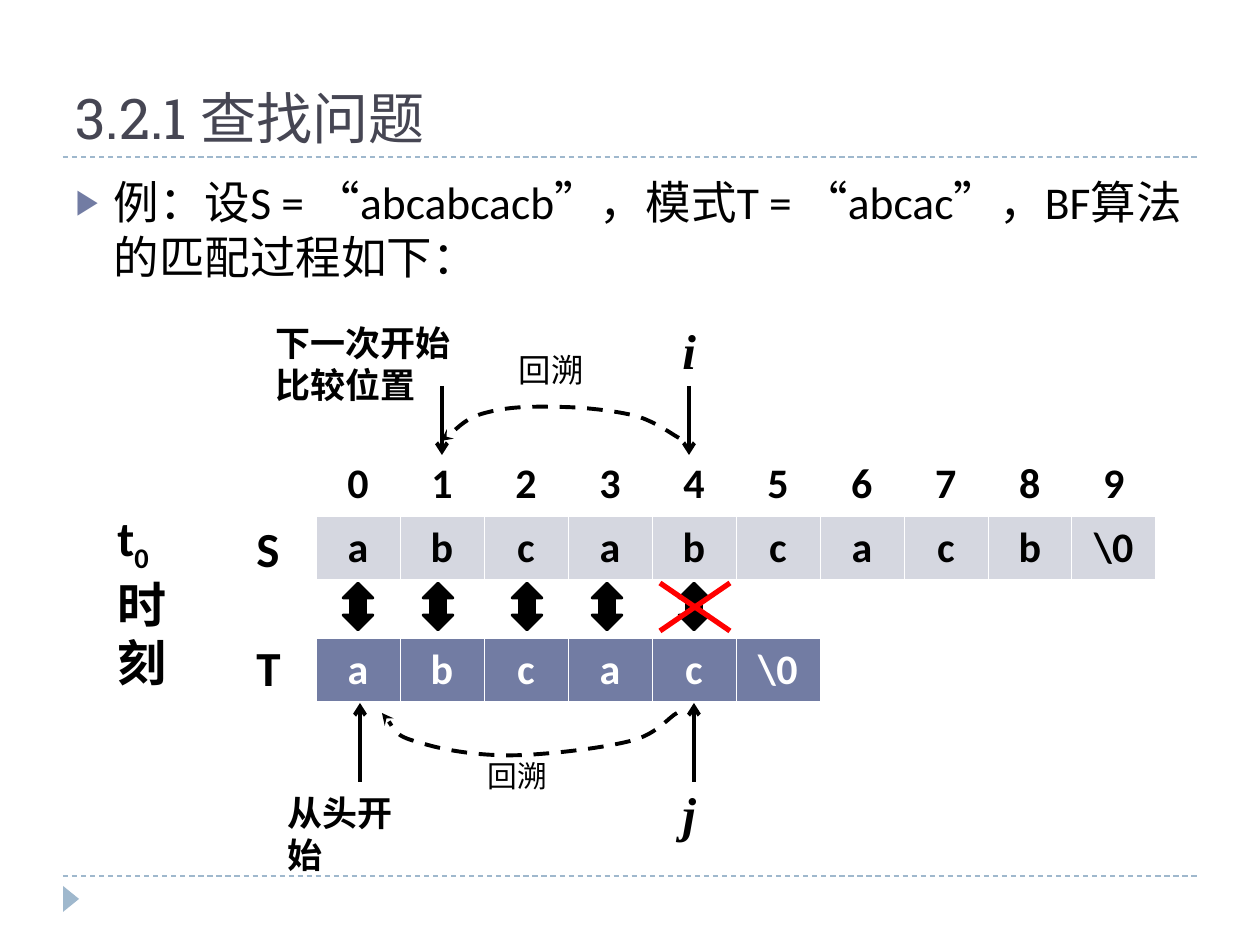
from lxml import etree
from pptx import Presentation
from pptx import util as u
from pptx.dml.color import RGBColor
from pptx.enum import dml, lang, shapes, text
from pptx.oxml import parse_xml
from pptx.oxml.ns import nsdecls, qn

PX = 7257
COLORS = {
    "title": "464653", "black": "000000", "white": "FFFFFF", "rule": "9FB8CD",
    "red": "FF0000", "accent": "727CA3", "pale": "D5D7E0",
}


def write(paragraph, wording, color="black", **values):
    run = paragraph.add_run()
    run.text = wording
    run.font.color.rgb = RGBColor.from_string(COLORS[color])
    values = {"name": "Calibri", "language_id": lang.MSO_LANGUAGE_ID.SIMPLIFIED_CHINESE, **values}
    for name, value in values.items():
        setattr(run.font, name, value)
    return run


def stroke(shape, color, width, dashed=False, arrow=None):
    shape.line.color.rgb = RGBColor.from_string(COLORS[color])
    shape.line.width = u.Pt(width)
    if dashed:
        shape.line.dash_style = dml.MSO_LINE.DASH
    properties = shape._element.spPr
    if arrow:
        etree.SubElement(properties.find(qn("a:ln")), qn("a:tailEnd"), type=arrow)
    etree.SubElement(properties, qn("a:effectLst"))


presentation = Presentation()
presentation.slide_width, presentation.slide_height = 1260 * PX, 945 * PX
slide = presentation.slides.add_slide(presentation.slide_layouts[1])

title, body = slide.placeholders
for placeholder, box, anchor in [
    (title, (63, 21, 1134, 136), text.MSO_ANCHOR.BOTTOM),
    (body, (63, 168, 1134, 680), text.MSO_ANCHOR.TOP),
]:
    placeholder.left, placeholder.top, placeholder.width, placeholder.height = [v * PX for v in box]
    placeholder.text_frame.auto_size = text.MSO_AUTO_SIZE.NONE
    placeholder.text_frame.vertical_anchor = anchor
    placeholder.text_frame.paragraphs[0].alignment = text.PP_ALIGN.LEFT

write(title.text_frame.paragraphs[0], "3.2.1 查找问题", "title", name="Roboto Slab", size=u.Pt(32))

paragraph = body.text_frame.paragraphs[0]
properties = paragraph._p.get_or_add_pPr()
properties.set("marL", str(38 * PX))
properties.set("indent", str(-38 * PX))
bullet_color = etree.SubElement(properties, qn("a:buClr"))
etree.SubElement(bullet_color, qn("a:srgbClr"), val=COLORS["accent"])
etree.SubElement(properties, qn("a:buSzPct"), val="76000")
etree.SubElement(properties, qn("a:buChar"), char="▶")
paragraph.space_before = u.Pt(0)
write(paragraph, "例：设S = “abcabcacb”，模式T = “abcac”，BF算法的匹配过程如下：", size=u.Pt(26))

tables = [
    (452, [("0 1 2 3 4 5 6 7 8 9", "white", "black"), (r"a b c a b c a c b \0", "pale", "black")]),
    (638, [(r"a b c a c \0", "accent", "white")]),
]
for top, rows in tables:
    count = len(rows[0][0].split())
    frame = slide.shapes.add_table(len(rows), count, 316 * PX, top * PX, count * 84 * PX, len(rows) * 63 * PX)
    table = frame.table
    table.horz_banding = False
    for row, (letters, fill, color) in enumerate(rows):
        for column, letter in enumerate(letters.split()):
            cell = table.cell(row, column)
            for side in "LRTB":
                thick = (row, side) in [(0, "B"), (1, "T")]
                cell._tc.get_or_add_tcPr().append(parse_xml(
                    f'<a:ln{side} {nsdecls("a")} w="{18669 if thick else 5715}"><a:solidFill>'
                    f'<a:srgbClr val="{COLORS["white"]}"/></a:solidFill></a:ln{side}>'))
            cell.fill.solid()
            cell.fill.fore_color.rgb = RGBColor.from_string(COLORS[fill])
            cell.vertical_anchor = text.MSO_ANCHOR.MIDDLE
            paragraph = cell.text_frame.paragraphs[0]
            paragraph.alignment = text.PP_ALIGN.CENTER
            write(paragraph, letter, color, size=u.Pt(24), bold=True)

marker = slide.shapes.add_shape(shapes.MSO_SHAPE.ISOSCELES_TRIANGLE, 58 * PX, 891 * PX, 26 * PX, 16 * PX)
marker.rotation = 90
marker.shadow.inherit = False
marker.fill.solid()
marker.fill.fore_color.rgb = RGBColor.from_string(COLORS["rule"])
marker.line.fill.background()

for left in (343, 423, 512, 592, 679):
    match = slide.shapes.add_shape(shapes.MSO_SHAPE.UP_DOWN_ARROW, left * PX, 583 * PX, 30 * PX, 47 * PX)
    match.fill.solid()
    match.fill.fore_color.rgb = RGBColor.from_string(COLORS["black"])
    stroke(match, "black", 1.5)

rule, cross, pointer = ("rule", 0.75, True), ("red", 3), ("black", 2.25, False, "arrow")
for ends, style in [
    ((63, 157, 1197, 157), rule),
    ((63, 876, 1197, 876), rule),
    ((660, 583, 730, 631), cross),
    ((730, 583, 660, 631), cross),
    ((442, 386, 442, 455), pointer),
    ((689, 386, 689, 455), pointer),
    ((360, 782, 360, 703), pointer),
    ((694, 782, 694, 703), pointer),
]:
    line = slide.shapes.add_connector(shapes.MSO_CONNECTOR.STRAIGHT, *[v * PX for v in ends])
    stroke(line, *style)

backtracks = [
    [(677, 713), (669, 717), (658, 733), (634, 740), (609, 747), (562, 753), (525, 755),
     (481, 757), (442, 750), (418, 742), (394, 736), (389, 719), (382, 713)],
    [(679, 438), (673, 435), (656, 422), (636, 416), (616, 411), (583, 407), (558, 407),
     (522, 406), (504, 408), (485, 413), (466, 418), (451, 435), (441, 441)],
]
for start, *controls in backtracks:
    builder = slide.shapes.build_freeform(*start, scale=PX)
    builder.add_line_segments(controls, close=False)
    curve = builder.convert_to_shape()
    segments = list(curve._element.iter(qn("a:lnTo")))
    outline = segments[0].getparent()
    for index in range(0, len(segments), 3):
        bezier = etree.SubElement(outline, qn("a:cubicBezTo"))
        for segment in segments[index:index + 3]:
            bezier.append(segment[0])
            outline.remove(segment)
    curve.fill.background()
    stroke(curve, "black", 2.25, True, "stealth")

label = {"size": u.Pt(28), "bold": True}
index_label = {**label, "name": "Times New Roman", "italic": True}
note = {"name": "Times New Roman", "size": u.Pt(20), "bold": True}
for box, lines, wrap, values in [
    ((244, 512, 48, 72), ["S"], False, label),
    ((244, 631, 49, 72), ["T"], False, label),
    ((105, 501, 74, 198), ["t", "时", "刻"], False, label),
    ((670, 314, 39, 72), ["i"], False, index_label),
    ((670, 777, 39, 72), ["j"], False, index_label),
    ((275, 785, 165, 55), ["从头开始"], False, note),
    ((263, 315, 218, 97), ["下一次开始比较位置"], True, note),
    ((519, 355, 83, 40), ["回溯"], True, {"name": "Times New Roman", "size": u.Pt(18.5)}),
    ((488, 762, 83, 40), ["回溯"], True, {"name": "Times New Roman", "size": u.Pt(17)}),
]:
    frame = slide.shapes.add_textbox(*[v * PX for v in box]).text_frame
    frame.word_wrap = wrap
    for number, wording in enumerate(lines):
        paragraph = frame.add_paragraph() if number else frame.paragraphs[0]
        write(paragraph, wording, **values)
        if wording == "t":
            subscript = write(paragraph, "0", **values)
            subscript._r.get_or_add_rPr().set("baseline", "-25000")
        if wording == "回溯":
            paragraph.alignment = text.PP_ALIGN.JUSTIFY
            paragraph.line_spacing = 0.9
            for side in ("left", "top", "right", "bottom"):
                setattr(frame, f"margin_{side}", 0)

presentation.save("out.pptx")
